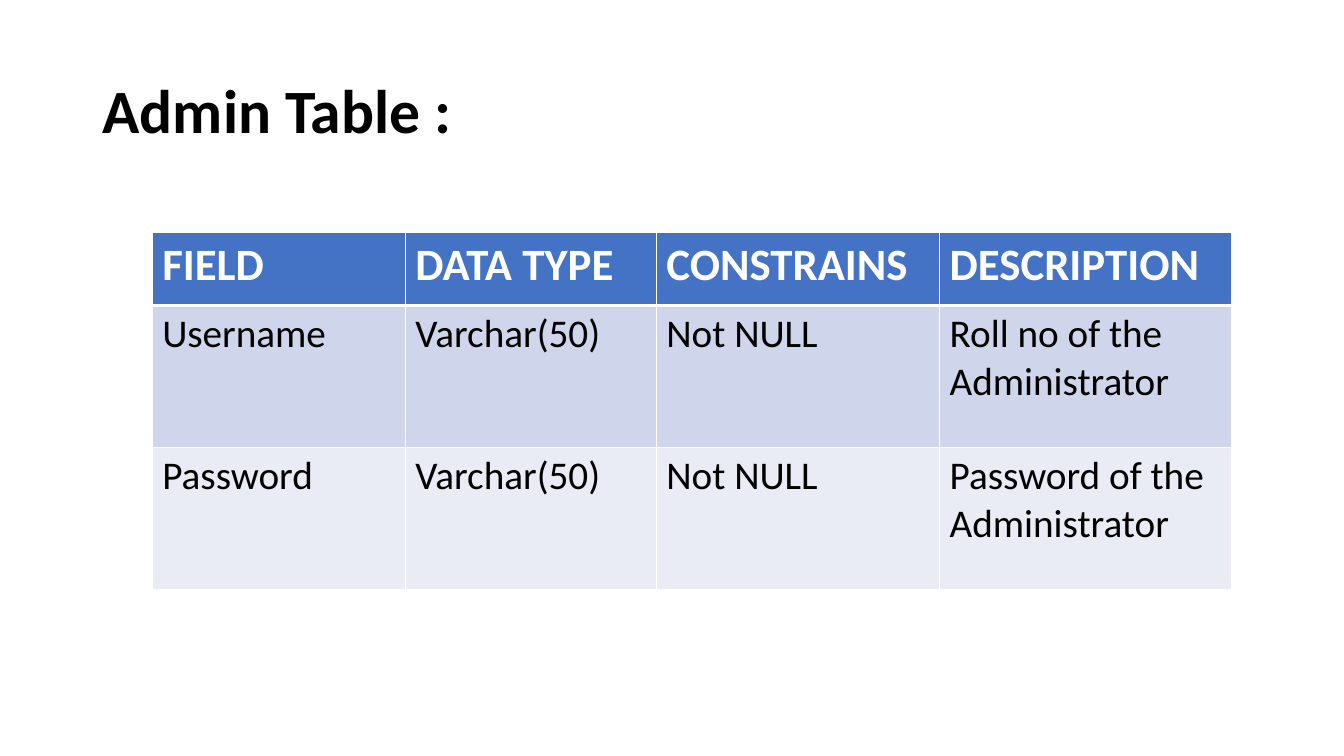
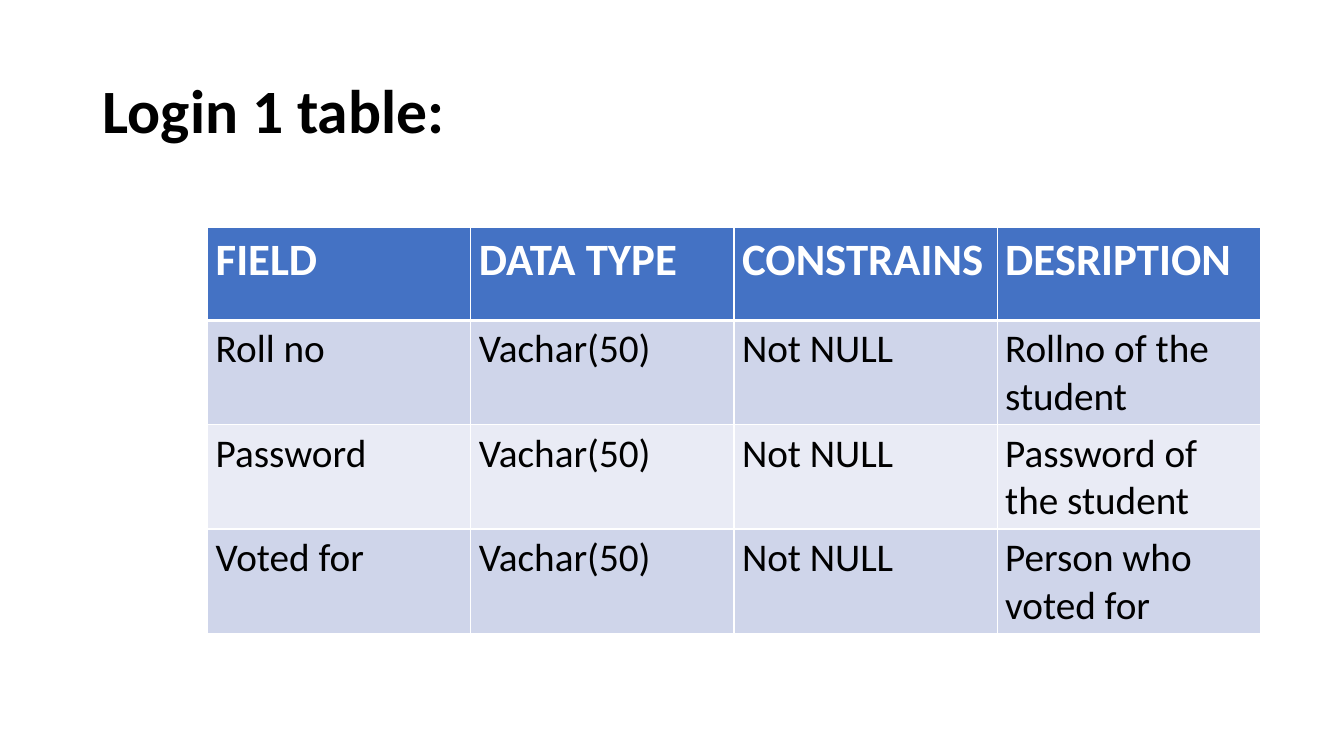
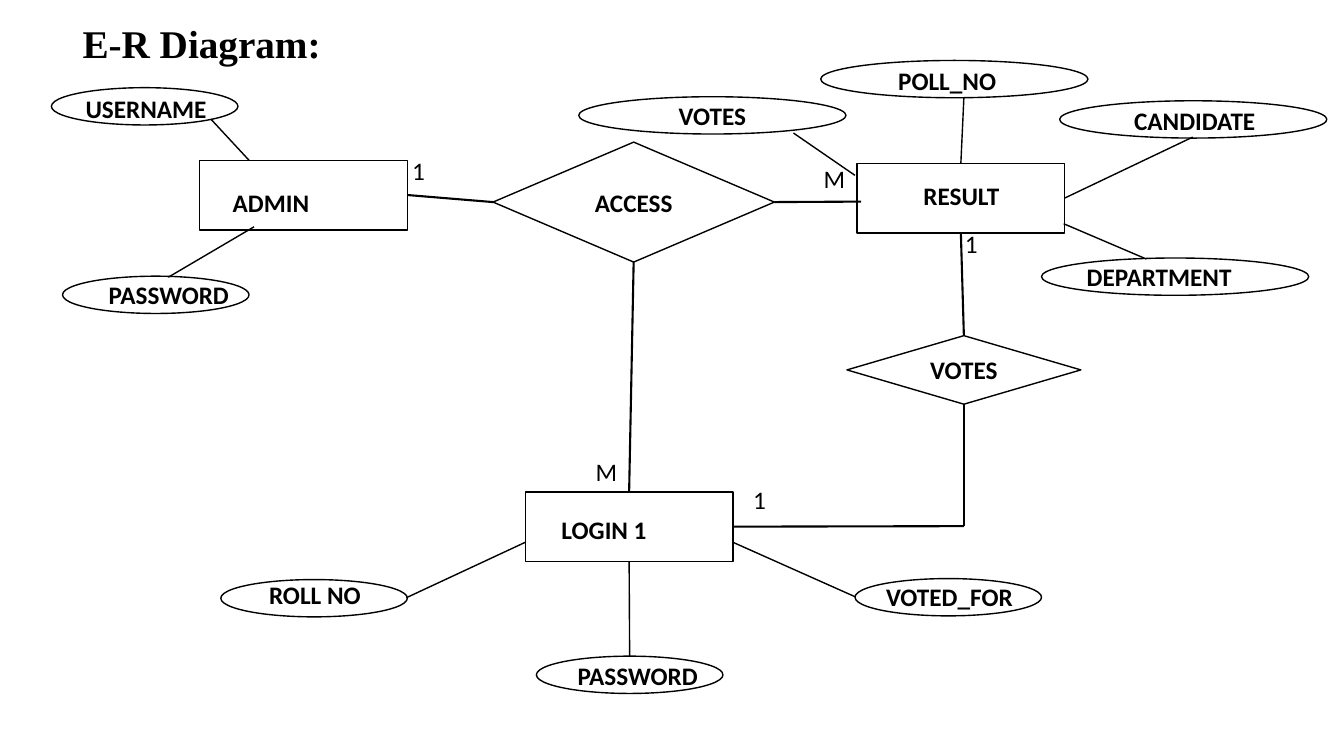
from dataclasses import dataclass
from typing import Union

from lxml import etree
from pptx import Presentation
from pptx.dml.color import RGBColor
from pptx.enum.shapes import MSO_CONNECTOR, MSO_SHAPE
from pptx.enum.text import MSO_ANCHOR, PP_ALIGN
from pptx.oxml.ns import qn
from pptx.util import Inches, Pt

RECTANGLE = MSO_SHAPE.RECTANGLE
ELLIPSE = MSO_SHAPE.OVAL
DECISION = MSO_SHAPE.FLOWCHART_DECISION
STRAIGHT = MSO_CONNECTOR.STRAIGHT
MIDDLE, CENTER = MSO_ANCHOR.MIDDLE, PP_ALIGN.CENTER
TOP, LEFT, BOTTOM, RIGHT = range(4)

# Shared look
BLACK, WHITE = "000000", "FFFFFF"
HEADER_FILL = "4472C4"
BAND_FILLS = ("CFD5EA", "E9EBF5")
BODY_FONT, DIAGRAM_TITLE_FONT = "Calibri", "Times New Roman"
SLIDE_WIDTH, SLIDE_HEIGHT = 13.33, 7.5
TITLE_BOX = (0.92, 0.4, 11.5, 1.45)
LABEL_HEIGHT = 0.4

# Sizes of the diagram's parts
ENTITY = (2.06, 0.69)
SHORT_ATTRIBUTE = (1.85, 0.37)
LONG_ATTRIBUTE = (2.65, 0.37)


@dataclass(frozen=True)
class FieldTable:
    title: str
    left: float
    top: float
    columns: tuple[float, ...]
    row_heights: tuple[float, ...]
    side_margin: float
    rows: tuple[tuple[str, ...], ...]


@dataclass(frozen=True)
class Node:
    kind: int
    left: float
    top: float
    size: tuple[float, float]
    centred_text: str = ""


@dataclass(frozen=True)
class Label:
    text: str
    left: float
    top: float
    width: float
    bold: bool = True


Point = tuple[float, float]
Joint = tuple[str, int]
End = Union[Point, Joint]


@dataclass(frozen=True)
class Link:
    start: End
    end: End
    weight: float = 1


TABLES = (
    FieldTable("Admin Table :", 1.51, 2.31, (2.51, 2.49, 2.81, 2.9),
               (0.72, 1.41, 1.41), 0.1, (
        ("FIELD", "DATA TYPE", "CONSTRAINS", "DESCRIPTION"),
        ("Username", "Varchar(50)", "Not NULL", "Roll no of the Administrator"),
        ("Password", "Varchar(50)", "Not NULL", "Password of the Administrator"),
    )),
    FieldTable("Login 1 table:", 2.06, 2.26, (2.61,) * 4, (0.92,) * 4, 0.08, (
        ("FIELD", "DATA TYPE", "CONSTRAINS", "DESRIPTION"),
        ("Roll no", "Vachar(50)", "Not NULL", "Rollno of the student"),
        ("Password", "Vachar(50)", "Not NULL", "Password of the student"),
        ("Voted for", "Vachar(50)", "Not NULL", "Person who voted for"),
    )),
)

NODES = {
    "admin": Node(RECTANGLE, 1.98, 1.59, ENTITY),
    "result": Node(RECTANGLE, 8.5, 1.62, ENTITY),
    "login": Node(RECTANGLE, 5.21, 4.88, ENTITY),
    "username": Node(ELLIPSE, 0.51, 0.87, SHORT_ATTRIBUTE),
    "admin password": Node(ELLIPSE, 0.62, 2.74, SHORT_ATTRIBUTE),
    "poll no": Node(ELLIPSE, 8.14, 0.6, LONG_ATTRIBUTE),
    "candidate": Node(ELLIPSE, 10.51, 1, LONG_ATTRIBUTE),
    "department": Node(ELLIPSE, 10.33, 2.56, LONG_ATTRIBUTE),
    "vote count": Node(ELLIPSE, 5.74, 0.96, LONG_ATTRIBUTE, "VOTES"),
    "voted for": Node(ELLIPSE, 8.48, 5.74, SHORT_ATTRIBUTE),
    "login password": Node(ELLIPSE, 5.32, 6.51, SHORT_ATTRIBUTE),
    "roll no": Node(ELLIPSE, 2.19, 5.75, SHORT_ATTRIBUTE),
    "access": Node(DECISION, 4.89, 1.41, (2.79, 1.19), "ACCESS"),
    "votes": Node(DECISION, 8.4, 3.33, (2.32, 0.68), "VOTES"),
}

VOTES_CORNER = (9.56, 5.22)
LINKS = (
    # Attributes
    Link((2.09, 1.18), (2.47, 1.59)),
    Link((2.52, 2.25), (1.67, 2.75)),
    Link((9.56, 0.97), ("result", TOP)),
    Link((10.55, 2.22), (11.37, 2.57)),
    Link((7.87, 1.32), (8.48, 1.74)),
    Link(("result", RIGHT), (11.83, 1.36)),
    Link((4.03, 5.93), (5.21, 5.38)),
    Link(("login password", TOP), ("login", BOTTOM)),
    Link((7.27, 5.38), (8.48, 5.92)),
    # Relationships
    Link(("admin", RIGHT), ("access", LEFT), 1.5),
    Link(("access", RIGHT), (8.54, 2), 1.5),
    Link(("access", BOTTOM), ("login", TOP), 1.5),
    Link(("result", BOTTOM), ("votes", TOP), 1.5),
    Link(("login", RIGHT), VOTES_CORNER, 1.5),
    Link(("votes", BOTTOM), VOTES_CORNER, 1.5),
)

LABELS = (
    Label("ADMIN", 2.21, 1.81, 1.7),
    Label("USERNAME", 0.75, 0.88, 1.53),
    Label("PASSWORD", 0.98, 2.72, 2.56),
    Label("ROLL NO", 2.57, 5.7, 1.85),
    Label("PASSWORD", 5.63, 6.5, 1.64),
    Label("VOTED_FOR", 8.69, 5.72, 1.73),
    Label("RESULT", 9.06, 1.74, 1.99),
    Label("POLL_NO", 8.81, 0.6, 1.39),
    Label("CANDIDATE", 11.15, 1, 2.09),
    Label("DEPARTMENT", 10.68, 2.54, 1.83),
    Label("LOGIN 1", 5.47, 5.05, 3.05),
    # Cardinalities
    Label("1", 7.37, 4.76, 0.28, False),
    Label("1", 9.47, 2.22, 0.35, False),
    Label("1", 3.99, 1.49, 0.43, False),
    Label("M", 5.81, 4.48, 0.34, False),
    Label("M", 8.07, 1.57, 0.34, False),
)


def colour(value: str) -> RGBColor:
    return RGBColor.from_string(value)


def write(frame, text: str, size: float, bold: bool = False,
          ink: str = BLACK, face: str = BODY_FONT):
    frame.text = text
    paragraph = frame.paragraphs[0]
    for run in paragraph.runs:
        run.font.name = face
        run.font.size = Pt(size)
        run.font.bold = bold
        run.font.color.rgb = colour(ink)
    return paragraph


def add_text(slide, box: tuple[float, ...], text: str, size: float,
             bold: bool, face: str = BODY_FONT, wrap: bool = True):
    frame = slide.shapes.add_textbox(*map(Inches, box)).text_frame
    frame.word_wrap = wrap
    write(frame, text, size, bold, face=face)
    return frame


def add_title(slide, text: str) -> None:
    frame = add_text(slide, TITLE_BOX, text, 44, True)
    frame.vertical_anchor = MIDDLE
    frame.paragraphs[0].line_spacing = 0.9


def set_borders(cell, top: float, bottom: float) -> None:
    properties = cell._tc.get_or_add_tcPr()
    weights = {"a:lnL": 1, "a:lnR": 1, "a:lnT": top, "a:lnB": bottom}
    for position, (tag, weight) in enumerate(weights.items()):
        border = etree.Element(qn(tag), w=str(Pt(weight)))
        fill = etree.SubElement(border, qn("a:solidFill"))
        etree.SubElement(fill, qn("a:srgbClr"), val=WHITE)
        properties.insert(position, border)


def add_field_table(slide, spec: FieldTable) -> None:
    table = slide.shapes.add_table(
        len(spec.rows), len(spec.columns), Inches(spec.left), Inches(spec.top),
        Inches(sum(spec.columns)), Inches(sum(spec.row_heights))).table
    for column, width in zip(table.columns, spec.columns):
        column.width = Inches(width)
    for index, (row, height) in enumerate(zip(table.rows, spec.row_heights)):
        row.height = Inches(height)
        header = index == 0
        for cell, text in zip(row.cells, spec.rows[index]):
            cell.margin_left = cell.margin_right = Inches(spec.side_margin)
            cell.fill.solid()
            cell.fill.fore_color.rgb = colour(
                HEADER_FILL if header else BAND_FILLS[(index - 1) % 2])
            write(cell.text_frame, text, 32 if header else 28, header,
                  WHITE if header else BLACK)
            set_borders(cell, 3 if index == 1 else 1, 3 if header else 1)


def add_node(slide, node: Node):
    shape = slide.shapes.add_shape(
        node.kind, *map(Inches, (node.left, node.top, *node.size)))
    shape.shadow.inherit = False
    shape.fill.solid()
    shape.fill.fore_color.rgb = colour(WHITE)
    shape.line.color.rgb = colour(BLACK)
    shape.line.width = Pt(1)
    if node.centred_text:
        shape.text_frame.vertical_anchor = MIDDLE
        write(shape.text_frame, node.centred_text, 18, True).alignment = CENTER
    return shape


def add_link(slide, link: Link, shapes: dict) -> None:
    def is_joint(end: End) -> bool:
        return isinstance(end[0], str)

    points = [(0, 0) if is_joint(end) else end for end in (link.start, link.end)]
    line = slide.shapes.add_connector(
        STRAIGHT, *(Inches(value) for point in points for value in point))
    for end, connect in ((link.start, line.begin_connect),
                         (link.end, line.end_connect)):
        if is_joint(end):
            connect(shapes[end[0]], end[1])
    line.line.color.rgb = colour(BLACK)
    line.line.width = Pt(link.weight)
    etree.SubElement(line._element.spPr, qn("a:effectLst"))


def add_diagram(slide) -> None:
    shapes = {key: add_node(slide, node) for key, node in NODES.items()}
    for link in LINKS:
        add_link(slide, link, shapes)
    for label in LABELS:
        add_text(slide, (label.left, label.top, label.width, LABEL_HEIGHT),
                 label.text, 18, label.bold)
    add_text(slide, (0.72, 0.14, 2.59, 0.57), "E-R Diagram:", 28, True,
             DIAGRAM_TITLE_FONT, wrap=False)


def main() -> None:
    deck = Presentation()
    deck.slide_width = Inches(SLIDE_WIDTH)
    deck.slide_height = Inches(SLIDE_HEIGHT)
    blank = deck.slide_layouts[6]

    # Table slides
    for spec in TABLES:
        slide = deck.slides.add_slide(blank)
        add_title(slide, spec.title)
        add_field_table(slide, spec)

    # Diagram slide
    add_diagram(deck.slides.add_slide(blank))
    deck.save("out.pptx")


if __name__ == "__main__":
    main()
